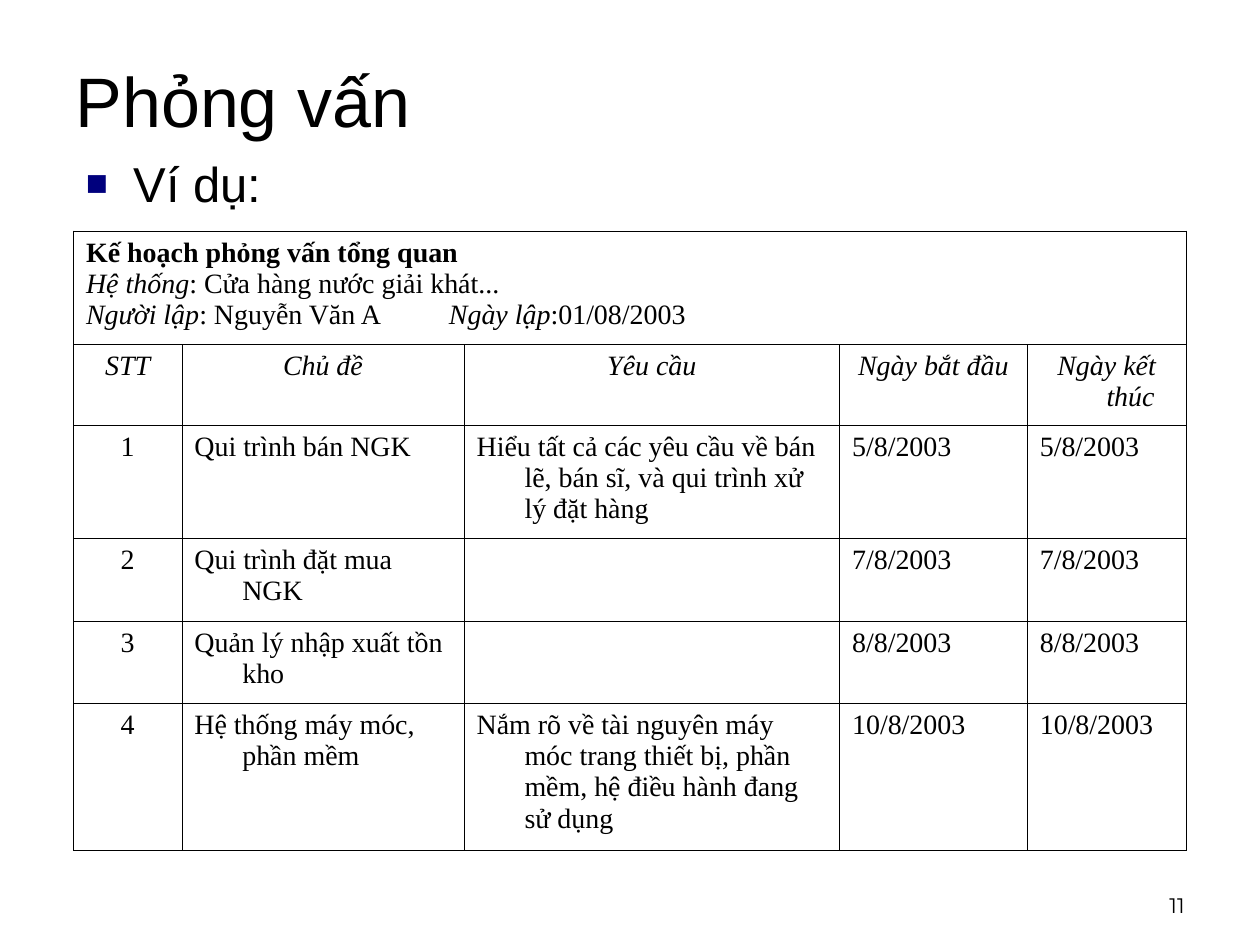
import dataclasses
import typing

import lxml.etree
import pptx
import pptx.dml.color
import pptx.enum.text
import pptx.oxml
import pptx.oxml.ns
import pptx.util

BLACK = pptx.dml.color.RGBColor(0x00, 0x00, 0x00)
NAVY = pptx.dml.color.RGBColor(0x00, 0x00, 0x7D)

GRID_UNIT = pptx.util.Inches(1 / 12)  # the slide is 120 columns by 90 rows
HANGING_INDENT = pptx.util.Inches(0.38)
BORDER_WIDTH = pptx.util.Pt(0.45)
ALIGN = pptx.enum.text.PP_ALIGN
ANCHOR = pptx.enum.text.MSO_ANCHOR

COLUMN_WIDTHS = (0.86, 2.24, 2.98, 1.49, 1.26)
ROW_HEIGHTS = (0.9, 0.64, 0.9, 0.66, 0.65, 1.17)


class Area(typing.NamedTuple):
    """A rectangle in grid columns and rows."""
    column: int
    row: int
    columns: int
    rows: int

    def lengths(self) -> list[int]:
        return [value * GRID_UNIT for value in self]


@dataclasses.dataclass(frozen=True)
class TextStyle:
    font: str
    size: float
    bold: bool = False
    italic: bool = False


class InterviewTopic(typing.NamedTuple):
    number: str
    topic: str
    requirement: str
    start: str
    end: str


TITLE = TextStyle("Arial", 40)
BODY = TextStyle("Arial", 28)
PAGE_NUMBER = TextStyle("Montserrat", 12)
CELL = TextStyle("Times New Roman", 16)
CELL_BOLD = dataclasses.replace(CELL, bold=True)
CELL_ITALIC = dataclasses.replace(CELL, italic=True)

PLAN_HEADER = (
    (("Kế hoạch phỏng vấn tổng quan", CELL_BOLD),),
    (("Hệ thống", CELL_ITALIC), (": Cửa hàng nước giải khát...", CELL)),
    (("Người lập", CELL_ITALIC), (": Nguyễn Văn A\t\t", CELL),
     ("Ngày lập", CELL_ITALIC), (":01/08/2003", CELL)),
)
COLUMN_TITLES = ("STT", "Chủ đề", "Yêu cầu", "Ngày bắt đầu", "Ngày kết thúc")
TOPICS = (
    InterviewTopic("1", "Qui trình bán NGK",
                   "Hiểu tất cả các yêu cầu về bán lẽ, bán sĩ, và qui trình xử lý đặt hàng",
                   "5/8/2003", "5/8/2003"),
    InterviewTopic("2", "Qui trình đặt mua NGK", "", "7/8/2003", "7/8/2003"),
    InterviewTopic("3", "Quản lý nhập xuất tồn kho", "", "8/8/2003", "8/8/2003"),
    InterviewTopic("4", "Hệ thống máy móc, phần mềm",
                   "Nắm rõ về tài nguyên máy móc trang thiết bị, phần mềm, hệ điều hành đang sử dụng",
                   "10/8/2003", "10/8/2003"),
)


def set_attributes(target: typing.Any, values: dict[str, typing.Any]) -> None:
    for name, value in values.items():
        setattr(target, name, value)


def add_element(parent: typing.Any, tag: str, **attributes: typing.Any) -> typing.Any:
    texts = {name: str(value) for name, value in attributes.items()}
    return lxml.etree.SubElement(parent, pptx.oxml.ns.qn(tag), texts)


def add_run(paragraph: typing.Any, text: str, style: TextStyle) -> None:
    run = paragraph.add_run()
    run.text = text
    set_attributes(run.font, {"name": style.font, "size": pptx.util.Pt(style.size),
                              "bold": style.bold, "italic": style.italic})
    run.font.color.rgb = BLACK


def indent_first_line_back(paragraph: typing.Any) -> typing.Any:
    properties = paragraph._p.get_or_add_pPr()
    properties.set("marL", str(HANGING_INDENT))
    properties.set("indent", str(-HANGING_INDENT))
    return properties


def add_tab_stops(properties: typing.Any) -> None:
    tab_list = add_element(properties, "a:tabLst")
    for inches in range(8):
        add_element(tab_list, "a:tab", pos=pptx.util.Inches(inches), algn="l")


def add_text_box(slide: typing.Any, area: Area, text: str, style: TextStyle,
                 anchor: typing.Any, alignment: typing.Any) -> typing.Any:
    text_frame = slide.shapes.add_textbox(*area.lengths()).text_frame
    set_attributes(text_frame, {"word_wrap": True, "vertical_anchor": anchor})
    paragraph = text_frame.paragraphs[0]
    paragraph.alignment = alignment
    add_run(paragraph, text, style)
    return paragraph


def add_square_bullet(paragraph: typing.Any) -> None:
    paragraph.space_before = pptx.util.Pt(7)
    properties = indent_first_line_back(paragraph)
    add_element(add_element(properties, "a:buClr"), "a:srgbClr", val=NAVY)
    add_element(properties, "a:buSzPct", val=75000)
    add_element(properties, "a:buFont", typeface="Arial")
    add_element(properties, "a:buChar", char="■")


def format_cell(cell: typing.Any) -> None:
    properties = cell._tc.get_or_add_tcPr()
    for side in ("a:lnL", "a:lnR", "a:lnT", "a:lnB"):
        line = add_element(properties, side, w=BORDER_WIDTH)
        add_element(add_element(line, "a:solidFill"), "a:srgbClr", val=BLACK)
    cell.fill.background()


def write_cell(cell: typing.Any, text: str, style: TextStyle, alignment: typing.Any) -> None:
    paragraph = cell.text_frame.paragraphs[0]
    paragraph.alignment = alignment
    indent_first_line_back(paragraph)
    if text:
        add_run(paragraph, text, style)


def write_plan_header(cell: typing.Any) -> None:
    text_frame = cell.text_frame
    for index, runs in enumerate(PLAN_HEADER):
        paragraph = text_frame.add_paragraph() if index else text_frame.paragraphs[0]
        paragraph.alignment = ALIGN.JUSTIFY
        add_tab_stops(indent_first_line_back(paragraph))
        for text, style in runs:
            add_run(paragraph, text, style)


def add_plan_table(slide: typing.Any, area: Area) -> None:
    table = slide.shapes.add_table(len(ROW_HEIGHTS), len(COLUMN_WIDTHS), *area.lengths()).table
    set_attributes(table, {"first_row": False, "horz_banding": False})
    for column, width in zip(table.columns, COLUMN_WIDTHS):
        column.width = pptx.util.Inches(width)
    for row, height in zip(table.rows, ROW_HEIGHTS):
        row.height = pptx.util.Inches(height)
    for cell in table.iter_cells():
        format_cell(cell)

    table.cell(0, 0).merge(table.cell(0, len(COLUMN_WIDTHS) - 1))
    write_plan_header(table.cell(0, 0))
    for column, text in enumerate(COLUMN_TITLES):
        write_cell(table.cell(1, column), text, CELL_ITALIC, ALIGN.CENTER)
    for row, topic in enumerate(TOPICS, start=2):
        for column, text in enumerate(topic):
            alignment = ALIGN.LEFT if column else ALIGN.CENTER
            write_cell(table.cell(row, column), text, CELL, alignment)


def write_title(slide: typing.Any, area: Area, text: str) -> None:
    title = slide.shapes.title
    set_attributes(title, dict(zip(("left", "top", "width", "height"), area.lengths())))
    set_attributes(title.text_frame, {"vertical_anchor": ANCHOR.MIDDLE, "word_wrap": True,
                                      "auto_size": pptx.enum.text.MSO_AUTO_SIZE.NONE})
    paragraph = title.text_frame.paragraphs[0]
    paragraph.alignment = ALIGN.LEFT
    add_run(paragraph, text, TITLE)


def main() -> None:
    presentation = pptx.Presentation()
    set_attributes(presentation, {"slide_width": 120 * GRID_UNIT, "slide_height": 90 * GRID_UNIT})
    slide = presentation.slides.add_slide(presentation.slide_layouts.get_by_name("Title Only"))
    write_title(slide, Area(6, 6, 108, 7), "Phỏng vấn")
    example = add_text_box(slide, Area(7, 14, 53, 7), "Ví dụ:", BODY, ANCHOR.TOP, ALIGN.LEFT)
    add_square_bullet(example)
    add_plan_table(slide, Area(7, 22, 106, 59))
    add_text_box(slide, Area(86, 82, 28, 6), "11", PAGE_NUMBER, ANCHOR.BOTTOM, ALIGN.RIGHT)
    presentation.save("out.pptx")


if __name__ == "__main__":
    main()
